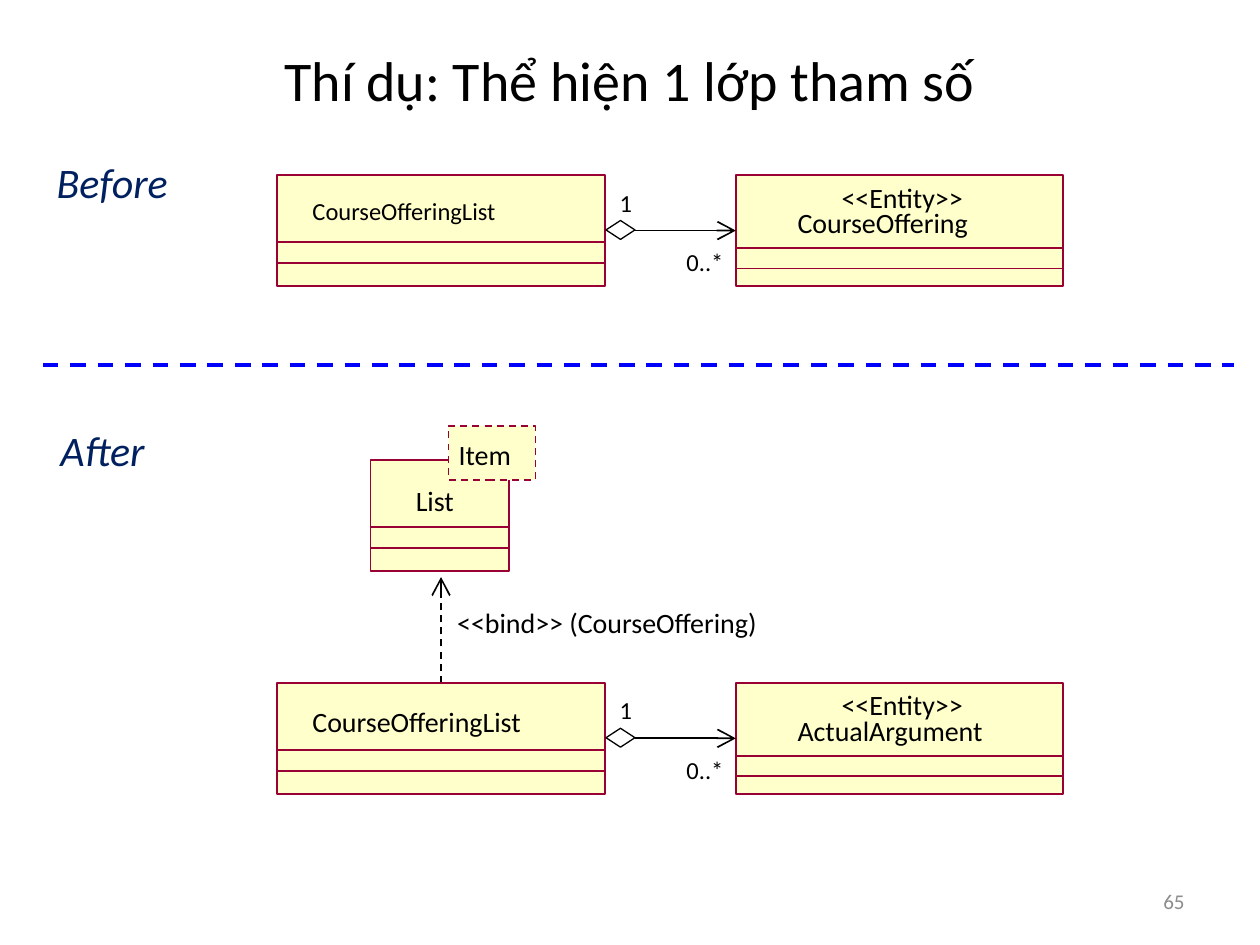
from dataclasses import dataclass

import pptx
import pptx.dml.color
import pptx.enum.dml
import pptx.enum.shapes
import pptx.enum.text
import pptx.oxml
import pptx.oxml.ns
import pptx.util
from pptx.util import Inches

Align = pptx.enum.text.PP_ALIGN
Anchor = pptx.enum.text.MSO_ANCHOR
Preset = pptx.enum.shapes.MSO_SHAPE


@dataclass(frozen=True)
class Theme:
    font: str = "Calibri"
    ink: str = "000000"
    navy: str = "002060"
    gray: str = "8C8C8C"
    divider: str = "0000FF"
    box_fill: str = "FFFFCC"
    box_line: str = "990033"
    title: int = 32
    section: int = 24
    label: int = 16
    small: int = 14
    footer: int = 12


@dataclass(frozen=True)
class Label:
    text: str
    left: float
    top: float
    width: float
    height: float
    size: int
    color: str = "000000"
    italic: bool = False
    inset: tuple[float, float] = (0, 0)
    align: Align = Align.LEFT
    anchor: Anchor = Anchor.TOP
    wrap: bool = False


@dataclass(frozen=True)
class ClassBox:
    left: float
    top: float
    width: float
    dividers: tuple[float, float]  # distances below the top edge
    labels: tuple[Label, ...]


@dataclass(frozen=True)
class Association:
    offset: float  # distance below the upper diagram
    list_size: int
    target: str


THEME = Theme()
BOX_HEIGHT = 0.88
PADDING = (0.1, 0.05)


def rgb(value: str) -> pptx.dml.color.RGBColor:
    return pptx.dml.color.RGBColor.from_string(value)


def style_line(line, color: str, width: float, dashed: bool = False) -> None:
    line.color.rgb = rgb(color)
    line.width = pptx.util.Pt(width)
    if dashed:
        line.dash_style = pptx.enum.dml.MSO_LINE.DASH


def draw_label(page, label: Label) -> None:
    box = page.shapes.add_textbox(Inches(label.left), Inches(label.top),
                                  Inches(label.width), Inches(label.height))
    frame = box.text_frame
    frame.word_wrap = label.wrap
    frame.vertical_anchor = label.anchor
    frame.margin_left = frame.margin_right = Inches(label.inset[0])
    frame.margin_top = frame.margin_bottom = Inches(label.inset[1])
    frame.text = label.text
    para = frame.paragraphs[0]
    para.alignment = label.align
    font = para.runs[0].font
    font.name = THEME.font
    font.size = pptx.util.Pt(label.size)
    font.italic = label.italic
    font.color.rgb = rgb(label.color)


def draw_shape(page, preset: Preset, left: float, top: float, width: float,
               height: float, color: str, line_width: float,
               fill: str | None = None, dashed: bool = False) -> None:
    shape = page.shapes.add_shape(preset, Inches(left), Inches(top),
                                  Inches(width), Inches(height))
    shape.shadow.inherit = False
    if fill:
        shape.fill.solid()
        shape.fill.fore_color.rgb = rgb(fill)
    else:
        shape.fill.background()
    style_line(shape.line, color, line_width, dashed)


def draw_line(page, start: tuple[float, float], end: tuple[float, float],
              color: str, width: float = 1, dashed: bool = False,
              arrow: bool = False) -> None:
    line = page.shapes.add_connector(
        pptx.enum.shapes.MSO_CONNECTOR.STRAIGHT,
        Inches(start[0]), Inches(start[1]), Inches(end[0]), Inches(end[1]))
    style_line(line.line, color, width, dashed)
    if arrow:
        head = pptx.oxml.parse_xml(
            f'<a:tailEnd {pptx.oxml.ns.nsdecls("a")} type="arrow" w="lg" len="lg"/>')
        line.line._get_or_add_ln().append(head)
    properties = line._element.spPr
    properties.append(properties.makeelement(pptx.oxml.ns.qn("a:effectLst"), {}))


def draw_class(page, box: ClassBox) -> None:
    draw_shape(page, Preset.RECTANGLE, box.left, box.top, box.width, BOX_HEIGHT,
               THEME.box_line, 1, THEME.box_fill)
    for divider in box.dividers:
        y = box.top + divider
        draw_line(page, (box.left, y), (box.left + box.width, y), THEME.box_line)
    for label in box.labels:
        draw_label(page, label)


def draw_association(page, link: Association) -> None:
    top = 1.39 + link.offset
    draw_class(page, ClassBox(2.2, top, 2.6, (0.53, 0.7), (
        Label("CourseOfferingList", 2.48, top + 0.17, 2.2, 0.27, link.list_size),)))
    draw_class(page, ClassBox(5.84, top, 2.6, (0.58, 0.74), (
        Label("<<Entity>>", 6.68, top + 0.04, 1.03, 0.27, THEME.label),
        Label(link.target, 6.33, top + 0.24, 1.95, 0.27, THEME.label))))
    # Aggregation diamond, arrow and multiplicities
    draw_shape(page, Preset.DIAMOND, 4.81, top + 0.36, 0.23, 0.15, THEME.ink, 0.75)
    draw_line(page, (5.04, top + 0.44), (5.84, top + 0.44), THEME.ink, arrow=True)
    draw_label(page, Label("1", 4.82, top + 0.05, 0.24, 0.34, THEME.small, inset=PADDING))
    draw_label(page, Label("0..*", 5.35, top + 0.52, 0.53, 0.34, THEME.small, inset=PADDING))


def main() -> None:
    deck = pptx.Presentation()
    deck.slide_width, deck.slide_height = Inches(10), Inches(7.5)
    page = deck.slides.add_slide(deck.slide_layouts[6])

    # Title, section names and divider
    draw_label(page, Label("Thí dụ: Thể hiện 1 lớp tham số", 0.5, 0, 9, 1.25,
                           THEME.title, THEME.ink, inset=PADDING, align=Align.CENTER,
                           anchor=Anchor.MIDDLE, wrap=True))
    for text, left, top, width in (("Before", 0.33, 1.18, 2.46),
                                   ("After", 0.36, 3.31, 1.12)):
        draw_label(page, Label(text, left, top, width, 0.52, THEME.section,
                               THEME.navy, italic=True, inset=(0.12, 0.06), wrap=True))
    draw_line(page, (0.34, 2.9), (9.79, 2.9), THEME.divider, 2.25, dashed=True)

    # Parameterized class and its binding
    draw_class(page, ClassBox(2.94, 3.65, 1.1, (0.53, 0.7), (
        Label("List", 3.3, 3.84, 0.63, 0.27, THEME.label),)))
    draw_shape(page, Preset.RECTANGLE, 3.56, 3.38, 0.69, 0.43,
               THEME.box_line, 1, THEME.box_fill, dashed=True)
    draw_label(page, Label("Item", 3.64, 3.47, 0.68, 0.27, THEME.label))
    draw_line(page, (3.5, 5.42), (3.5, 4.58), THEME.ink, dashed=True, arrow=True)
    draw_label(page, Label("<<bind>> (CourseOffering)", 3.53, 4.76, 2.62, 0.37,
                           THEME.label, inset=PADDING))

    # Associations before and after
    for link in (Association(0, THEME.small, "CourseOffering"),
                 Association(4.03, THEME.label, "ActualArgument")):
        draw_association(page, link)

    # Page number
    draw_label(page, Label("65", 7.17, 6.95, 2.33, 0.4, THEME.footer, THEME.gray,
                           inset=PADDING, align=Align.RIGHT, anchor=Anchor.MIDDLE,
                           wrap=True))
    deck.save("out.pptx")


if __name__ == "__main__":
    main()
